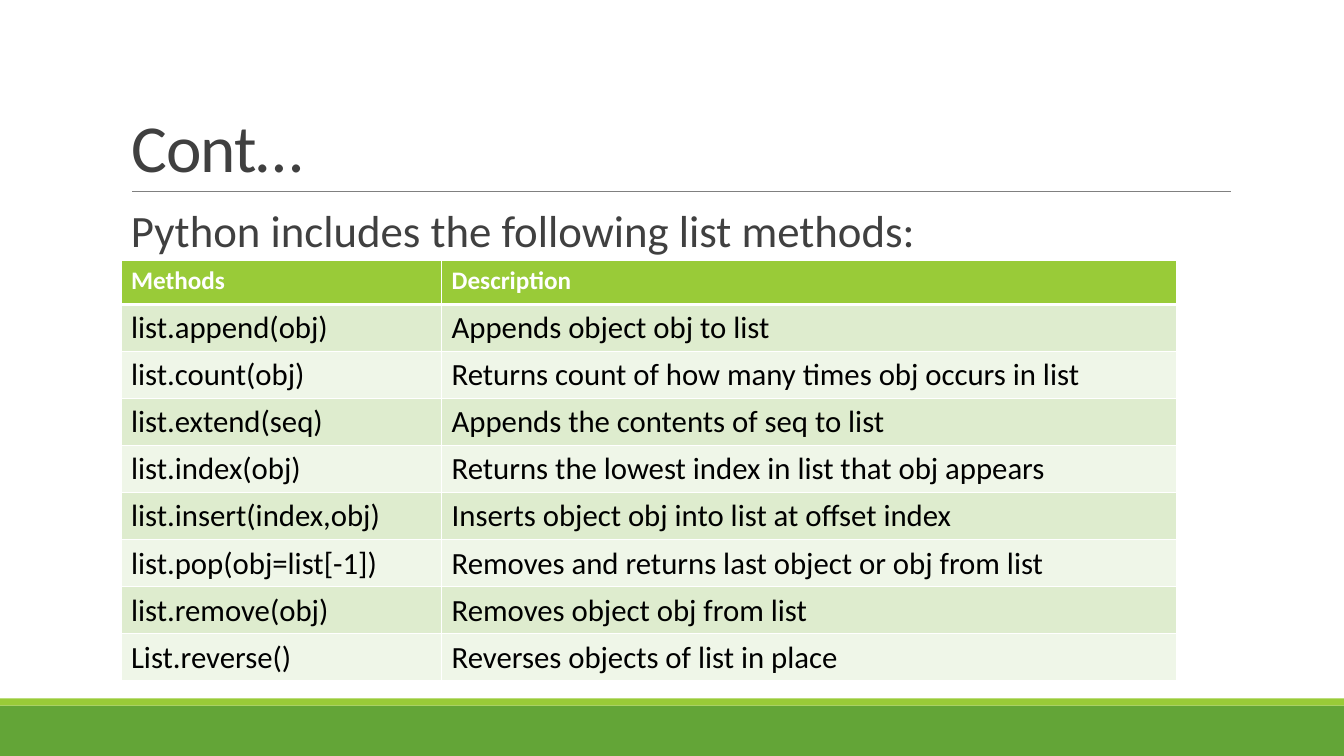
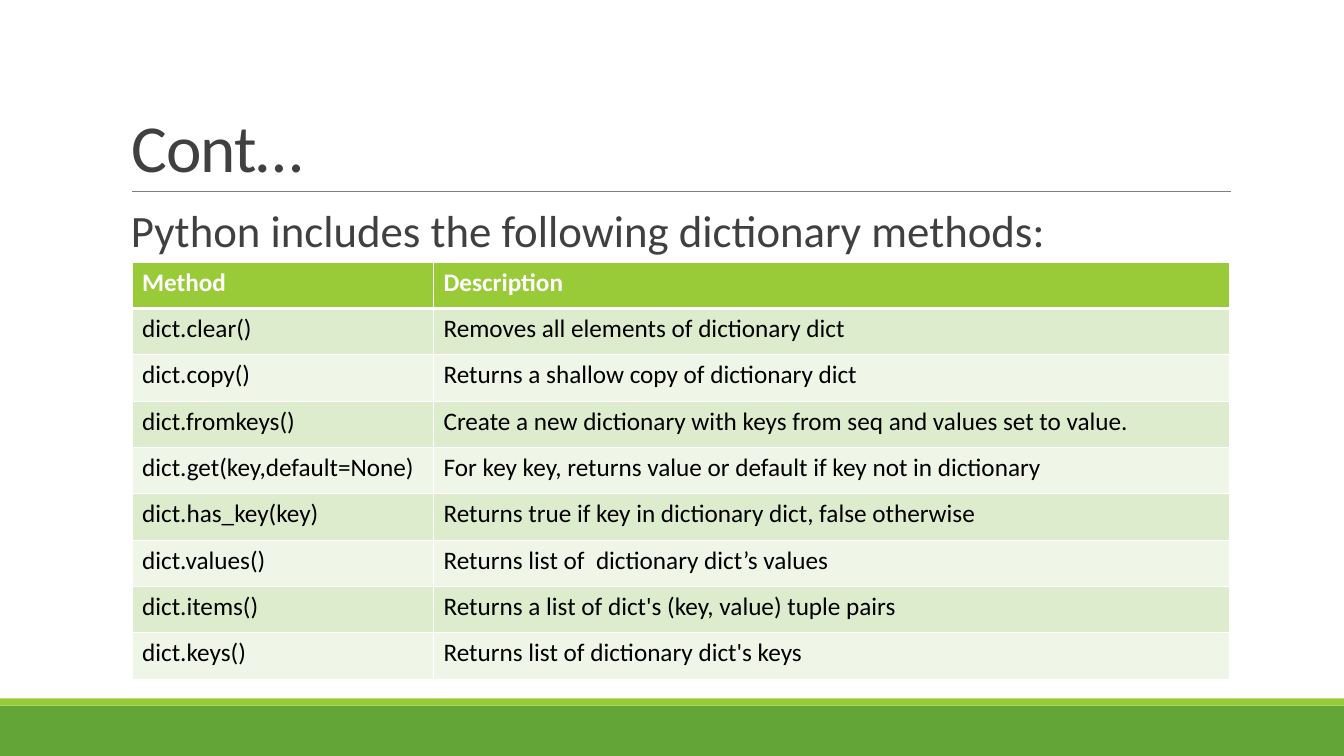
from dataclasses import dataclass

from lxml import etree
from pptx import Presentation
from pptx import util as u
from pptx.dml.color import RGBColor
from pptx.enum import shapes, text
from pptx.oxml.ns import qn


@dataclass(frozen=True)
class Theme:
    font: str = "Calibri"
    ink: str = "404040"
    black: str = "000000"
    white: str = "FFFFFF"
    rule: str = "808080"
    green: str = "63A537"
    lime: str = "99CB38"
    stripes: tuple = ("DEECCE", "EFF6E8")
    title_size: int = 48
    lead_size: int = 32
    header_size: int = 18


T = Theme()
WIDTH, HEIGHT = 13.33, 7.5

LIST_METHODS = [
    ("Methods", "Description"),
    ("list.append(obj)", "Appends object obj to list"),
    ("list.count(obj)", "Returns count of how many times obj occurs in list"),
    ("list.extend(seq)", "Appends the contents of seq to list"),
    ("list.index(obj)", "Returns the lowest index in list that obj appears"),
    ("list.insert(index,obj)", "Inserts object obj into list at offset index"),
    ("list.pop(obj=list[-1])", "Removes and returns last object or obj from list"),
    ("list.remove(obj)", "Removes object obj from list"),
    ("List.reverse()", "Reverses objects of list in place"),
]

DICT_METHODS = [
    ("Method", "Description"),
    ("dict.clear()", "Removes all elements of dictionary dict"),
    ("dict.copy()", "Returns a shallow copy of dictionary dict"),
    ("dict.fromkeys()", "Create a new dictionary with keys from seq and values set to value."),
    ("dict.get(key,default=None)", "For key key, returns value or default if key not in dictionary"),
    ("dict.has_key(key)", "Returns true if key in dictionary dict, false otherwise"),
    ("dict.values()", "Returns list of  dictionary dict’s values"),
    ("dict.items()", "Returns a list of dict's (key, value) tuple pairs"),
    ("dict.keys()", "Returns list of dictionary dict's keys"),
]


def rgb(color):
    return RGBColor.from_string(color)


def place(sp, left, top, width, height):
    sp.left, sp.top = u.Inches(left), u.Inches(top)
    sp.width, sp.height = u.Inches(width), u.Inches(height)


def write(tf, content, size, color, bold=False, line_spacing=None, tracking=None):
    p = tf.paragraphs[0]
    p.alignment = text.PP_ALIGN.LEFT
    p.space_before = u.Pt(0)
    if line_spacing:
        p.line_spacing = line_spacing
    r = p.add_run()
    r.text = content
    r.font.name, r.font.size, r.font.bold = T.font, u.Pt(size), bold
    r.font.color.rgb = rgb(color)
    if tracking:
        r._r.get_or_add_rPr().set("spc", str(int(tracking * 100)))


def add_band(s, top, height, color):
    sp = s.shapes.add_shape(shapes.MSO_SHAPE.RECTANGLE, 0, u.Inches(top),
                            u.Inches(WIDTH), u.Inches(height))
    sp.shadow.inherit = False
    sp.fill.solid()
    sp.fill.fore_color.rgb = rgb(color)
    sp.line.fill.background()


def add_rule(s, left, right, y):
    line = s.shapes.add_connector(shapes.MSO_CONNECTOR.STRAIGHT, u.Inches(left),
                                  u.Inches(y), u.Inches(right), u.Inches(y))
    line.line.color.rgb = rgb(T.rule)
    line.line.width = u.Pt(0.5)
    etree.SubElement(line._element.spPr, qn("a:effectLst"))


def set_title(s, content):
    sp = s.shapes.title
    place(sp, 1.2, 0.31, 11, 1.59)
    tf = sp.text_frame
    tf.auto_size = text.MSO_AUTO_SIZE.NONE
    tf.vertical_anchor = text.MSO_ANCHOR.BOTTOM
    write(tf, content, T.title_size, T.ink, line_spacing=0.85, tracking=-0.5)


def add_lead(s, content):
    sp = s.shapes.add_textbox(u.Inches(1.2), u.Inches(2.02), u.Inches(11), u.Inches(0.6))
    tf = sp.text_frame
    tf.word_wrap = True
    write(tf, content, T.lead_size, T.ink, line_spacing=0.9)


def set_borders(cell, bottom):
    tcPr = cell._tc.get_or_add_tcPr()
    for side, width in (("L", 1), ("R", 1), ("T", 1), ("B", bottom)):
        ln = etree.SubElement(tcPr, qn(f"a:ln{side}"), w=str(u.Pt(width)))
        fill = etree.SubElement(ln, qn("a:solidFill"))
        etree.SubElement(fill, qn("a:srgbClr"), val=T.white)


def add_methods_table(s, rows, left, top, col_widths, row_height, body_size):
    frame = s.shapes.add_table(len(rows), len(col_widths), u.Inches(left), u.Inches(top),
                               u.Inches(sum(col_widths)), u.Inches(row_height * len(rows)))
    table = frame.table
    table.horz_banding = False
    for column, width in zip(table.columns, col_widths):
        column.width = u.Inches(width)
    for i, row in enumerate(rows):
        header = i == 0
        table.rows[i].height = u.Inches(row_height)
        for j, content in enumerate(row):
            cell = table.cell(i, j)
            set_borders(cell, 3 if i == 0 else 1)
            if i == 1:
                cell._tc.tcPr.find(qn("a:lnT")).set("w", str(u.Pt(3)))
            cell.fill.solid()
            cell.fill.fore_color.rgb = rgb(T.lime if header else T.stripes[(i - 1) % 2])
            write(cell.text_frame, content, T.header_size if header else body_size,
                  T.white if header else T.black, bold=header)


def add_methods_slide(prs, title, lead, rows, **table_format):
    s = prs.slides.add_slide(prs.slide_layouts[5])
    add_band(s, 7, 0.5, T.green)
    add_band(s, 6.93, 0.07, T.lime)
    add_rule(s, 1.31, 12.21, 1.9)
    set_title(s, title)
    add_lead(s, lead)
    add_methods_table(s, rows, **table_format)


def main():
    prs = Presentation()
    prs.slide_width, prs.slide_height = u.Inches(WIDTH), u.Inches(HEIGHT)
    add_methods_slide(prs, "Cont…", "Python includes the following list methods:",
                      LIST_METHODS, left=1.2, top=2.58, col_widths=(3.18, 7.29),
                      row_height=0.44, body_size=22)
    add_methods_slide(prs, "Cont…", "Python includes the following dictionary methods:",
                      DICT_METHODS, left=1.31, top=2.6, col_widths=(2.99, 7.9),
                      row_height=0.46, body_size=18)
    prs.save("out.pptx")


if __name__ == "__main__":
    main()
